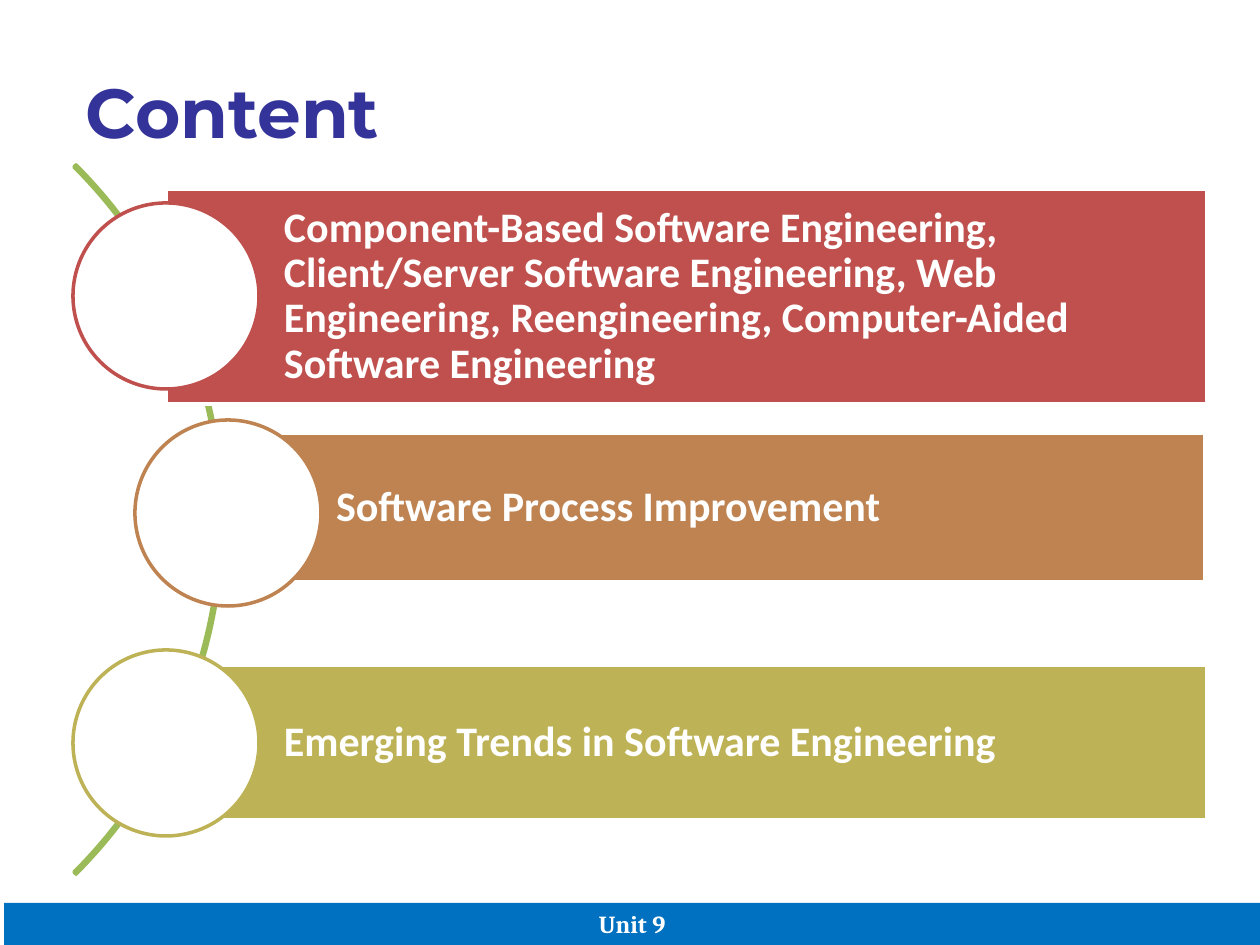
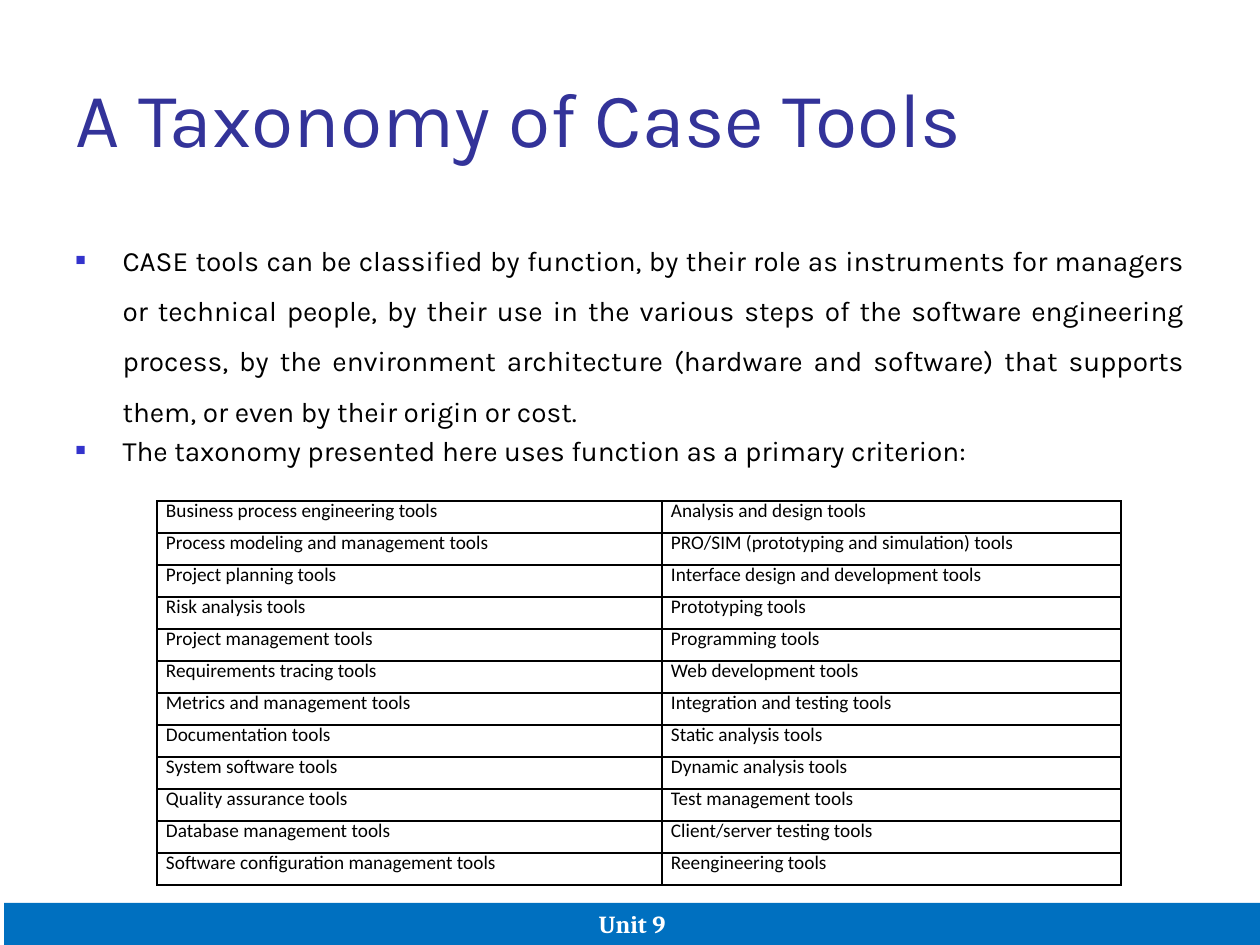
from lxml import etree
from pptx import Presentation
from pptx import util as u
from pptx.dml.color import RGBColor
from pptx.enum import shapes, text
from pptx.oxml import parse_xml
from pptx.oxml.ns import nsdecls, qn

# Shared colours
WHITE = RGBColor(0xFF, 0xFF, 0xFF)
BLACK = RGBColor(0x00, 0x00, 0x00)
TITLE_BLUE = RGBColor(0x33, 0x33, 0x99)
BAND_BLUE = RGBColor(0x00, 0x70, 0xC0)
ARC_GREEN = RGBColor(0x9B, 0xBB, 0x59)
RED = RGBColor(0xC0, 0x50, 0x4D)
COPPER = RGBColor(0xBE, 0x83, 0x51)
OLIVE = RGBColor(0xBD, 0xB2, 0x55)

SCALE = 914400 / 126  # EMU in one px


def px(*lengths):
    return [u.Emu(round(length * SCALE)) for length in lengths]


def add_shape(page, kind, place, fill, line):
    shape = page.shapes.add_shape(kind, *px(*place))
    shape.shadow.inherit = False
    if fill is None:
        shape.fill.background()
    else:
        shape.fill.solid()
        shape.fill.fore_color.rgb = fill
    if line is None:
        shape.line.fill.background()
    else:
        shape.line.color.rgb = line
        shape.line.width = u.Pt(2)
    return shape


deck = Presentation()
deck.slide_width, deck.slide_height = px(1260, 945)
content_page = deck.slides.add_slide(deck.slide_layouts[5])
tools_page = deck.slides.add_slide(deck.slide_layouts[1])

# Titles
titles = [
    (content_page, "Content", (73, 63, 1134, 88), "Montserrat", 39.6, True, text.MSO_ANCHOR.TOP),
    (tools_page, "A Taxonomy of Case Tools", (63, 38, 1134, 157), "Karla", 44, False, text.MSO_ANCHOR.MIDDLE),
]
for page, wording, place, face, size, bold, anchor in titles:
    title = page.shapes.title
    title.left, title.top, title.width, title.height = px(*place)
    title.text_frame.text = wording
    title.text_frame.auto_size = text.MSO_AUTO_SIZE.NONE
    title.text_frame.vertical_anchor = anchor
    para = title.text_frame.paragraphs[0]
    para.alignment = text.PP_ALIGN.LEFT
    font = para.runs[0].font
    font.name, font.size, font.bold = face, u.Pt(size), bold
    font.color.rgb = TITLE_BLUE

# Content: arc behind the topics
arc = add_shape(content_page, shapes.MSO_SHAPE.BLOCK_ARC, (-780, 18, 1003, 1003), None, ARC_GREEN)
arc.adjustments[0] = 189
arc.adjustments[1] = 27
arc.adjustments[2] = 0.003

# Content: topic bars with their circles
topics = [
    ("Component-Based Software Engineering, Client/Server Software Engineering, "
     "Web Engineering, Reengineering, Computer-Aided Software Engineering",
     RED, (166, 189, 1041, 215), (73, 203)),
    ("Software Process Improvement", COPPER, (218, 433, 987, 149), (135, 420)),
    ("Emerging Trends in Software Engineering", OLIVE, (166, 665, 1041, 155), (73, 650)),
]
for wording, colour, bar_place, circle_corner in topics:
    bar = add_shape(content_page, shapes.MSO_SHAPE.RECTANGLE, bar_place, colour, WHITE)
    frame = bar.text_frame
    frame.word_wrap = True
    frame.vertical_anchor = text.MSO_ANCHOR.MIDDLE
    frame.margin_left, frame.margin_top, frame.margin_right, frame.margin_bottom = px(118, 9, 9, 9)
    frame.text = wording
    para = frame.paragraphs[0]
    para.alignment = text.PP_ALIGN.LEFT
    para.line_spacing = 0.9
    font = para.runs[0].font
    font.name, font.size, font.bold = "Calibri", u.Pt(24), True
    font.color.rgb = WHITE
    add_shape(content_page, shapes.MSO_SHAPE.OVAL, (*circle_corner, 186, 186), WHITE, colour)

# Taxonomy: bulleted list
body = tools_page.placeholders[1]
body.left, body.top, body.width, body.height = px(63, 220, 1134, 262)
frame = body.text_frame
frame.auto_size = text.MSO_AUTO_SIZE.NONE
frame.text = (
    "CASE tools can be classiﬁed by function, by their role as instruments for managers or "
    "technical people, by their use in the various steps of the software engineering process, "
    "by the environment architecture (hardware and software) that supports them, or even by "
    "their origin or cost.\n"
    "The taxonomy presented here uses function as a primary criterion:"
)
for para in frame.paragraphs:
    properties = para._p.get_or_add_pPr()
    indent = px(47)[0]
    properties.set("marL", str(indent))
    properties.set("indent", str(-indent))
    for bullet in (
        '<a:buClr %s><a:srgbClr val="3333CC"/></a:buClr>',
        '<a:buSzPct %s val="60000"/>',
        '<a:buChar %s char="■"/>',
    ):
        properties.append(parse_xml(bullet % nsdecls("a")))
    font = para.runs[0].font
    font.name, font.size = "Karla", u.Pt(16)
    font.color.rgb = BLACK
first, second = frame.paragraphs
first.alignment = text.PP_ALIGN.JUSTIFY
first.line_spacing = 1.5
first.space_before = u.Pt(0)
second.space_before = u.Pt(3.2)

# Taxonomy: table of tool families
tools = [
    ("Business process engineering tools", "Analysis and design tools"),
    ("Process modeling and management tools", "PRO/SIM (prototyping and simulation) tools"),
    ("Project planning tools", "Interface design and development tools"),
    ("Risk analysis tools", "Prototyping tools"),
    ("Project management tools", "Programming tools"),
    ("Requirements tracing tools", "Web development tools"),
    ("Metrics and management tools", "Integration and testing tools"),
    ("Documentation tools", "Static analysis tools"),
    ("System software tools", "Dynamic analysis tools"),
    ("Quality assurance tools", "Test management tools"),
    ("Database management tools", "Client/server testing tools"),
    ("Software configuration management tools", "Reengineering tools"),
]
table = tools_page.shapes.add_table(len(tools), 2, *px(157, 501, 964, 32 * len(tools))).table
table.first_row = table.horz_banding = False
table.columns[0].width, table.columns[1].width = px(505, 459)
for row, names in zip(table.rows, tools):
    row.height = px(32)[0]
    for cell, name in zip(row.cells, names):
        cell.margin_left, cell.margin_top, cell.margin_right, cell.margin_bottom = px(9, 0, 0, 0)
        cell.text_frame.text = name
        para = cell.text_frame.paragraphs[0]
        para.line_spacing = u.Pt(12.4)
        font = para.runs[0].font
        font.name, font.size, font.bold = "Calibri", u.Pt(11), False
        font.color.rgb = BLACK
        properties = cell._tc.get_or_add_tcPr()
        for side in ("a:lnL", "a:lnR", "a:lnT", "a:lnB"):
            border = etree.SubElement(properties, qn(side), w=str(u.Pt(1)))
            paint = etree.SubElement(border, qn("a:solidFill"))
            etree.SubElement(paint, qn("a:srgbClr"), val=str(BLACK))
        cell.fill.background()

# Footer band on every page
for page in deck.slides:
    band = add_shape(page, shapes.MSO_SHAPE.RECTANGLE, (4, 903, 1256, 42), BAND_BLUE, None)
    band.text_frame.vertical_anchor = text.MSO_ANCHOR.BOTTOM
    band.text_frame.text = "Unit 9"
    para = band.text_frame.paragraphs[0]
    para.alignment = text.PP_ALIGN.CENTER
    font = para.runs[0].font
    font.name, font.size, font.bold = "Cambria", u.Pt(14), True
    font.color.rgb = WHITE

deck.save("out.pptx")
